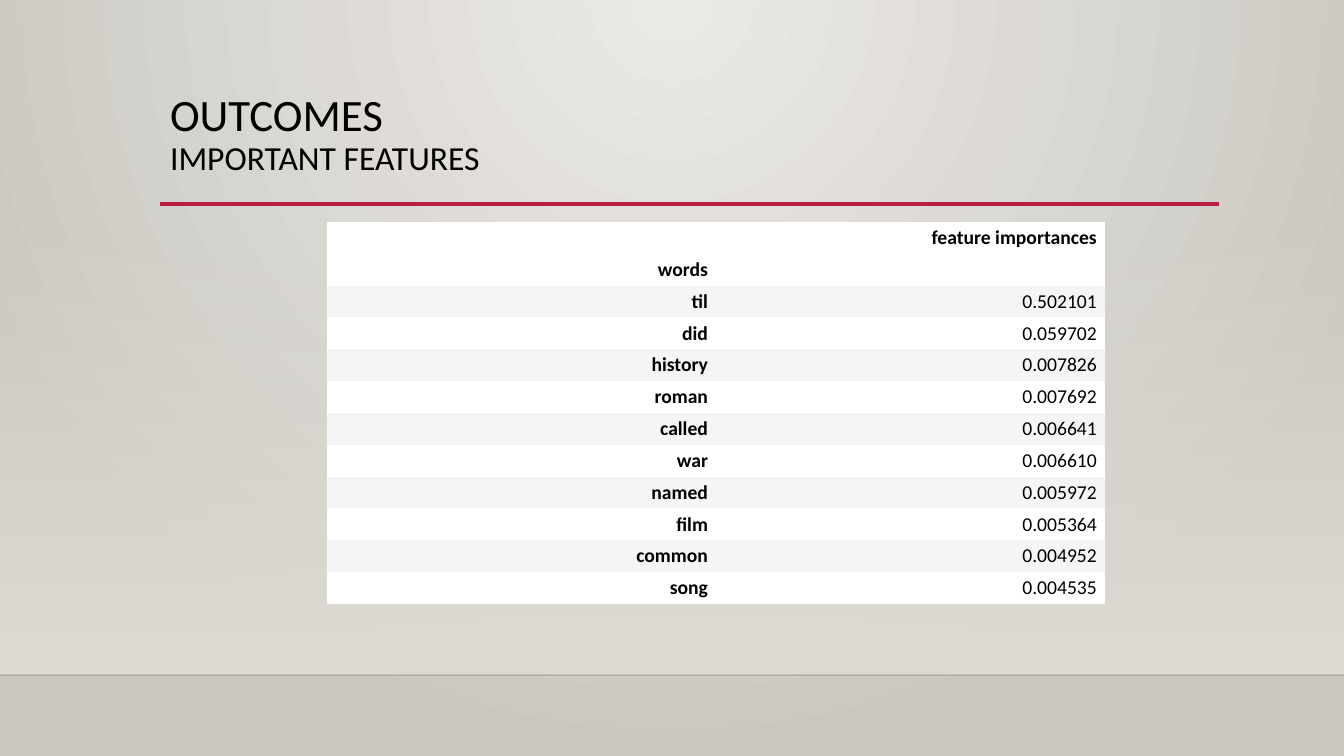
from lxml.etree import SubElement
from pptx import Presentation
from pptx.dml.color import RGBColor
from pptx.enum.shapes import MSO_CONNECTOR, MSO_SHAPE
from pptx.enum.text import MSO_ANCHOR, MSO_AUTO_SIZE, PP_ALIGN
from pptx.oxml.ns import qn
from pptx.util import Emu, Pt

SCALE = 914400 / 100.8
FONT = "Calibri"
NO_STYLE = "{2D5ABB26-0587-4C30-8999-92F81FD0307C}"
COLORS = {
    "glow": "ECEAE7",
    "edge": "CAC7C1",
    "wall": "DFDBD5",
    "floor": "000001",
    "accent": "B71E42",
    "text": "000000",
    "white": "FFFFFF",
    "band": "F5F5F5",
}
ROWS = [
    ("", "feature importances"),
    ("words", ""),
    ("til", "0.502101"),
    ("did", "0.059702"),
    ("history", "0.007826"),
    ("roman", "0.007692"),
    ("called", "0.006641"),
    ("war", "0.006610"),
    ("named", "0.005972"),
    ("film", "0.005364"),
    ("common", "0.004952"),
    ("song", "0.004535"),
]


def px(n):
    """Turn pixels into EMU."""
    return Emu(round(n * SCALE))


def rgb(name):
    """Look up a named colour."""
    return RGBColor.from_string(COLORS[name])


def set_alpha(color, percent):
    """Give a colour element an opacity."""
    SubElement(color, qn("a:alpha"), val=str(percent * 1000))


def set_gradient(fill, *names):
    """Fill with a gradient between two named colours."""
    fill.gradient()
    for stop, name in zip(fill.gradient_stops, names):
        stop.color.rgb = rgb(name)


def add_rule(slide, x, y, w, color, width):
    """Draw a horizontal rule and return it."""
    line = slide.shapes.add_connector(
        MSO_CONNECTOR.STRAIGHT, px(x), px(y), px(x + w), px(y))
    line.line.color.rgb = rgb(color)
    line.line.width = Pt(width)
    SubElement(line.element.spPr, qn("a:effectLst"))
    return line


def add_backdrop(slide, x, y, w, h):
    """Paint the radial background, the wall fade and the floor edge."""
    set_gradient(slide.background.fill, "glow", "edge")
    grad = slide.element.find(".//" + qn("a:gradFill"))
    grad.remove(grad.find(qn("a:lin")))
    path = SubElement(grad, qn("a:path"), path="circle")
    SubElement(path, qn("a:fillToRect"), l="43000", t="0", r="43000", b="100000")

    sp = slide.shapes.add_shape(MSO_SHAPE.RECTANGLE, px(x), px(y), px(w), px(h))
    sp.shadow.inherit = False
    sp.line.fill.background()
    set_gradient(sp.fill, "wall", "wall")
    sp.fill.gradient_angle = 270
    set_alpha(sp.element.find(".//" + qn("a:srgbClr")), 0)

    edge = add_rule(slide, x, y + h, w, "floor", 1)
    set_alpha(edge.element.find(".//" + qn("a:srgbClr")), 20)


def add_heading(slide, x, y, w, h):
    """Set the two-line title and the accent rule beneath it."""
    title = slide.shapes.title
    title.left, title.top, title.width, title.height = map(px, (x, y, w, h))
    tf = title.text_frame
    tf.word_wrap = True
    tf.auto_size = MSO_AUTO_SIZE.NONE
    tf.vertical_anchor = MSO_ANCHOR.TOP
    p = tf.paragraphs[0]
    p.alignment = PP_ALIGN.LEFT
    p.line_spacing = 0.9
    p.font.name = FONT
    p.font.color.rgb = rgb("text")
    for text, size in (("OUTCOMES", 32), ("IMPORTANT FEATURES", 24)):
        if p.runs:
            p.add_line_break()
        r = p.add_run()
        r.text = text
        r.font.size = Pt(size)
    add_rule(slide, x, y + h, w, "accent", 2.5)


def add_features(slide, x, y, w, h):
    """Add the table of words and their importances."""
    frame = slide.shapes.add_table(len(ROWS), 2, px(x), px(y), px(w), px(h))
    frame.element.find(".//" + qn("a:tableStyleId")).text = NO_STYLE
    table = frame.table
    table.horz_banding = False
    for i, row in enumerate(ROWS):
        for j, text in enumerate(row):
            cell = table.cell(i, j)
            cell.fill.solid()
            cell.fill.fore_color.rgb = rgb(
                "band" if i >= 2 and i % 2 == 0 else "white")
            cell.vertical_anchor = MSO_ANCHOR.MIDDLE
            cell.margin_left = cell.margin_right = px(8)
            cell.margin_top = cell.margin_bottom = px(4)
            p = cell.text_frame.paragraphs[0]
            p.text = text
            p.alignment = PP_ALIGN.RIGHT
            p.font.name = FONT
            p.font.size = Pt(14)
            p.font.bold = i == 0 or j == 0
            p.font.color.rgb = rgb("text")
            if not text:
                SubElement(cell.text_frame.paragraphs[0]._p,
                           qn("a:endParaRPr"), sz="1400")


prs = Presentation()
prs.slide_width, prs.slide_height = px(1344), px(756)
slide = prs.slides.add_slide(prs.slide_layouts[5])
add_backdrop(slide, 0, 223, 1344, 452)
add_heading(slide, 160, 88, 1059, 116)
add_features(slide, 327, 222, 778, 381)
prs.save("out.pptx")
